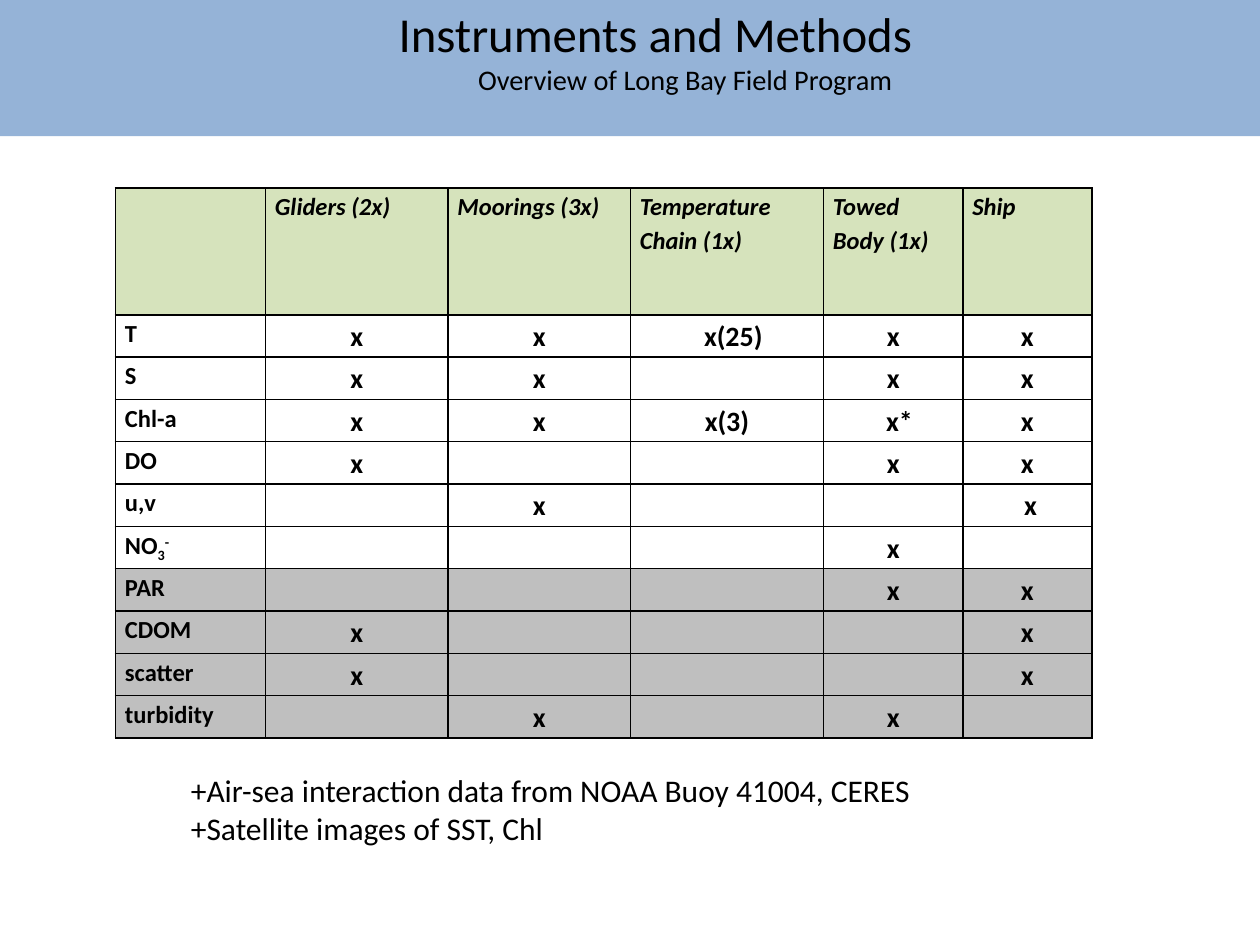
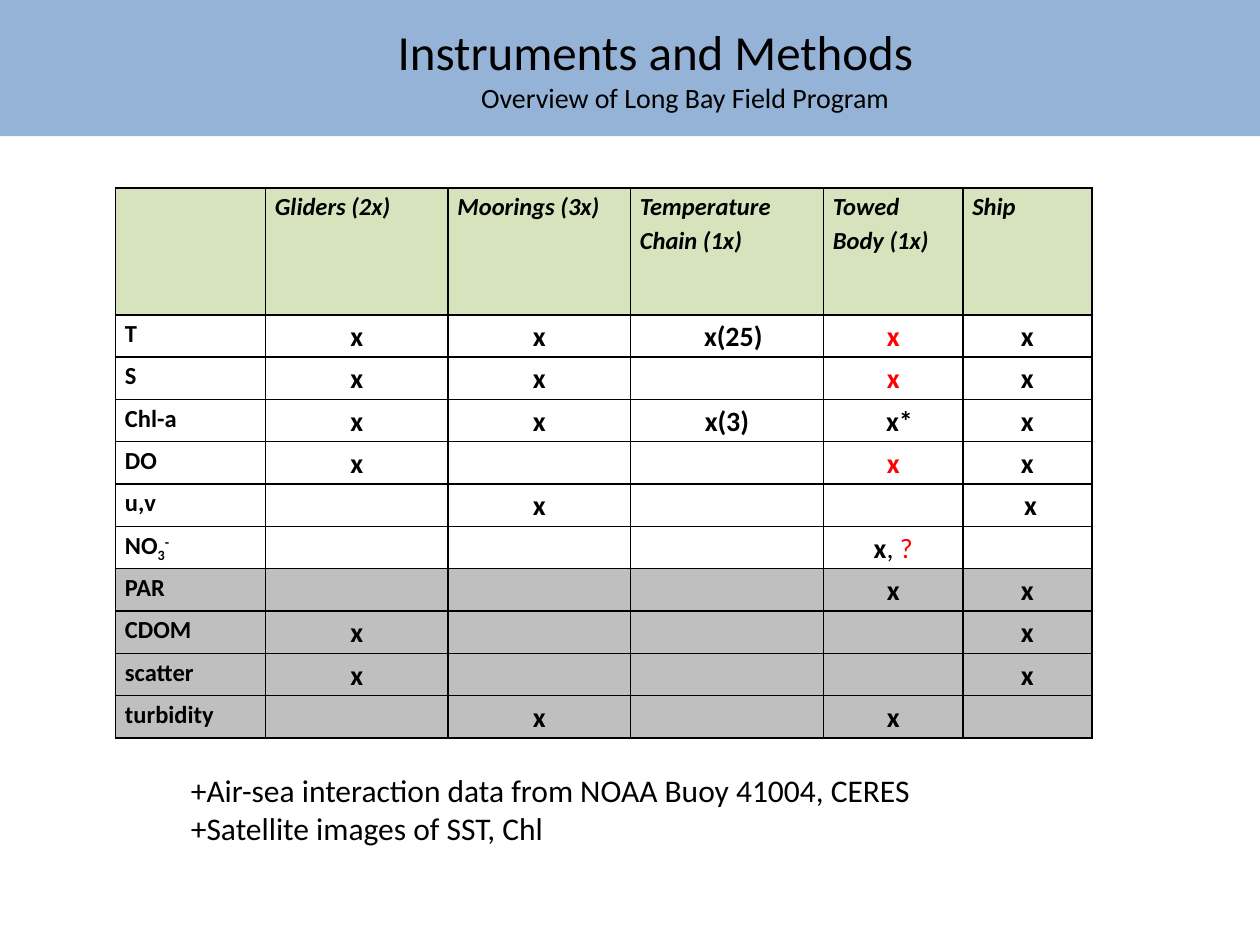
from lxml import etree
from pptx import Presentation
from pptx.dml.color import RGBColor
from pptx.enum.shapes import MSO_SHAPE
from pptx.enum.text import MSO_ANCHOR, PP_ALIGN
from pptx.oxml.ns import qn
from pptx.util import Pt

RECT = MSO_SHAPE.RECTANGLE
MIDDLE = MSO_ANCHOR.MIDDLE
LEFT, CENTER = PP_ALIGN.LEFT, PP_ALIGN.CENTER

FONT = "Calibri"
BAND, HEADER, SHADE = "95B3D7", "D6E3BC", "BFBFBF"
BLACK, RED = "000000", "FF0000"

BAND_BOX = (0, 0, 720, 77.8)
TABLE_BOX = (66, 107.3, 558, 314.6)
NOTES_BOX = (102, 437, 510, 73)

COLUMN_WIDTHS = [85.7, 104.3, 104.3, 110.3, 79.7, 73.7]
HEADER_HEIGHT = 72.6
HEADINGS = ["", "Gliders (2x)", "Moorings (3x)", "Temperature\nChain (1x)",
            "Towed\nBody (1x)", "Ship"]
MEASUREMENTS = [
    ["T", "x", "x", "x(25)", "x", "x"],
    ["S", "x", "x", "", "x", "x"],
    ["Chl-a", "x", "x", "x(3)", "x*", "x"],
    ["DO", "x", "", "", "x", "x"],
    ["u,v", "", "x", "", "", "x"],
    ["NO3-", "", "", "", "x", ""],
    ["PAR", "", "", "", "x", "x"],
    ["CDOM", "x", "", "", "", "x"],
    ["scatter", "x", "", "", "", "x"],
    ["turbidity", "", "x", "", "x", ""],
]
FIRST_SHADED = 6
NUDGES = {("T", 3): 7.2, ("Chl-a", 4): 7.2, ("u,v", 5): 3.6}
NOTES = ["+Air-sea interaction data from NOAA Buoy 41004, CERES",
         "+Satellite images of SST, Chl"]


def rgb(value):
    """Turn a hex string into a colour."""
    return RGBColor.from_string(value)


def style(r, size, color=BLACK, bold=False, italic=False):
    """Format one run."""
    r.font.name = FONT
    r.font.size = Pt(size)
    r.font.color.rgb = rgb(color)
    r.font.bold = bold
    r.font.italic = italic


def title_band(s, box, sizes, bottom_inset):
    """Draw the band with the title and its subtitle."""
    sp = s.shapes.add_shape(RECT, *map(Pt, box))
    sp.shadow.inherit = False
    sp.fill.solid()
    sp.fill.fore_color.rgb = rgb(BAND)
    sp.line.fill.background()
    tf = sp.text_frame
    tf.word_wrap = True
    tf.vertical_anchor = MIDDLE
    tf.margin_bottom = Pt(bottom_inset)
    p = tf.paragraphs[0]
    p.text = "Instruments and Methods\vOverview of Long Bay Field Program"
    p.alignment = CENTER
    pPr = p._p.get_or_add_pPr()
    pPr.set("marL", str(Pt(63)))
    pPr.set("indent", str(Pt(-34)))
    for r, size in zip(p.runs, sizes):
        style(r, size)


def frame_cell(cell, fill):
    """Give a cell its borders, margins and fill."""
    tcPr = cell._tc.get_or_add_tcPr()
    for side in ("lnL", "lnR", "lnT", "lnB"):
        ln = etree.SubElement(tcPr, qn("a:" + side), w=str(Pt(1)))
        solid = etree.SubElement(ln, qn("a:solidFill"))
        etree.SubElement(solid, qn("a:srgbClr"), val=BLACK)
    cell.margin_left = cell.margin_right = Pt(5.4)
    cell.margin_top = cell.margin_bottom = 0
    if fill:
        cell.fill.solid()
        cell.fill.fore_color.rgb = rgb(fill)
    else:
        cell.fill.background()


def fill_cell(cell, text, size, align, color=BLACK, italic=False):
    """Write bold text into a cell."""
    cell.text_frame.text = text
    for p in cell.text_frame.paragraphs:
        p.alignment = align
        p.line_spacing = 1.15
        p.font.size = Pt(size)
        for r in p.runs:
            style(r, size, color, True, italic)


def nitrate_label(cell):
    """Write the nitrate formula with its subscript and superscript."""
    fill_cell(cell, "NO", 14, LEFT)
    for text, baseline in (("3", -25000), ("-", 30000)):
        r = cell.text_frame.paragraphs[0].add_run()
        r.text = text
        style(r, 14, bold=True)
        r.font._element.set("baseline", str(baseline))


def instrument_table(s, box, red_rows, nitrate_query):
    """Draw the table of what each instrument measures."""
    rows = [HEADINGS] + MEASUREMENTS
    table = s.shapes.add_table(len(rows), len(HEADINGS), *map(Pt, box)).table
    table.first_row = table.horz_banding = False
    for column, width in zip(table.columns, COLUMN_WIDTHS):
        column.width = Pt(width)
    row_height = (box[3] - HEADER_HEIGHT) / len(MEASUREMENTS)
    for i, row in enumerate(rows):
        table.rows[i].height = Pt(row_height if i else HEADER_HEIGHT)
        fill = HEADER if i == 0 else SHADE if i > FIRST_SHADED else None
        for j, text in enumerate(row):
            cell = table.cell(i, j)
            frame_cell(cell, fill)
            if i == 0:
                fill_cell(cell, text, 14, LEFT, italic=True)
            elif text == "NO3-":
                nitrate_label(cell)
            elif j == 0:
                fill_cell(cell, text, 14, LEFT)
            else:
                color = RED if j == 4 and row[0] in red_rows else BLACK
                fill_cell(cell, text, 16, CENTER, color)
                cell.margin_left += Pt(NUDGES.get((row[0], j), 0))
            if nitrate_query and row[0] == "NO3-" and j == 4:
                for extra, color in ((", ", BLACK), ("?", RED)):
                    r = cell.text_frame.paragraphs[0].add_run()
                    r.text = extra
                    style(r, 16, color)


def data_notes(s, box):
    """Write the further data sources below the table."""
    tf = s.shapes.add_textbox(*map(Pt, box)).text_frame
    tf.word_wrap = True
    tf.text = "\n".join(NOTES)
    for p in tf.paragraphs:
        style(p.runs[0], 18)


def overview_slide(prs, sizes, bottom_inset, red_rows=(), nitrate_query=False):
    """Add one overview slide."""
    s = prs.slides.add_slide(prs.slide_layouts[6])
    title_band(s, BAND_BOX, sizes, bottom_inset)
    instrument_table(s, TABLE_BOX, red_rows, nitrate_query)
    data_notes(s, NOTES_BOX)


def main():
    """Build the presentation."""
    prs = Presentation()
    prs.slide_width, prs.slide_height = Pt(720), Pt(540)
    overview_slide(prs, (27.9, 16.2), 24.2)
    overview_slide(prs, (28, 16), 3.6, ("T", "S", "DO"), True)
    prs.save("out.pptx")


if __name__ == "__main__":
    main()
